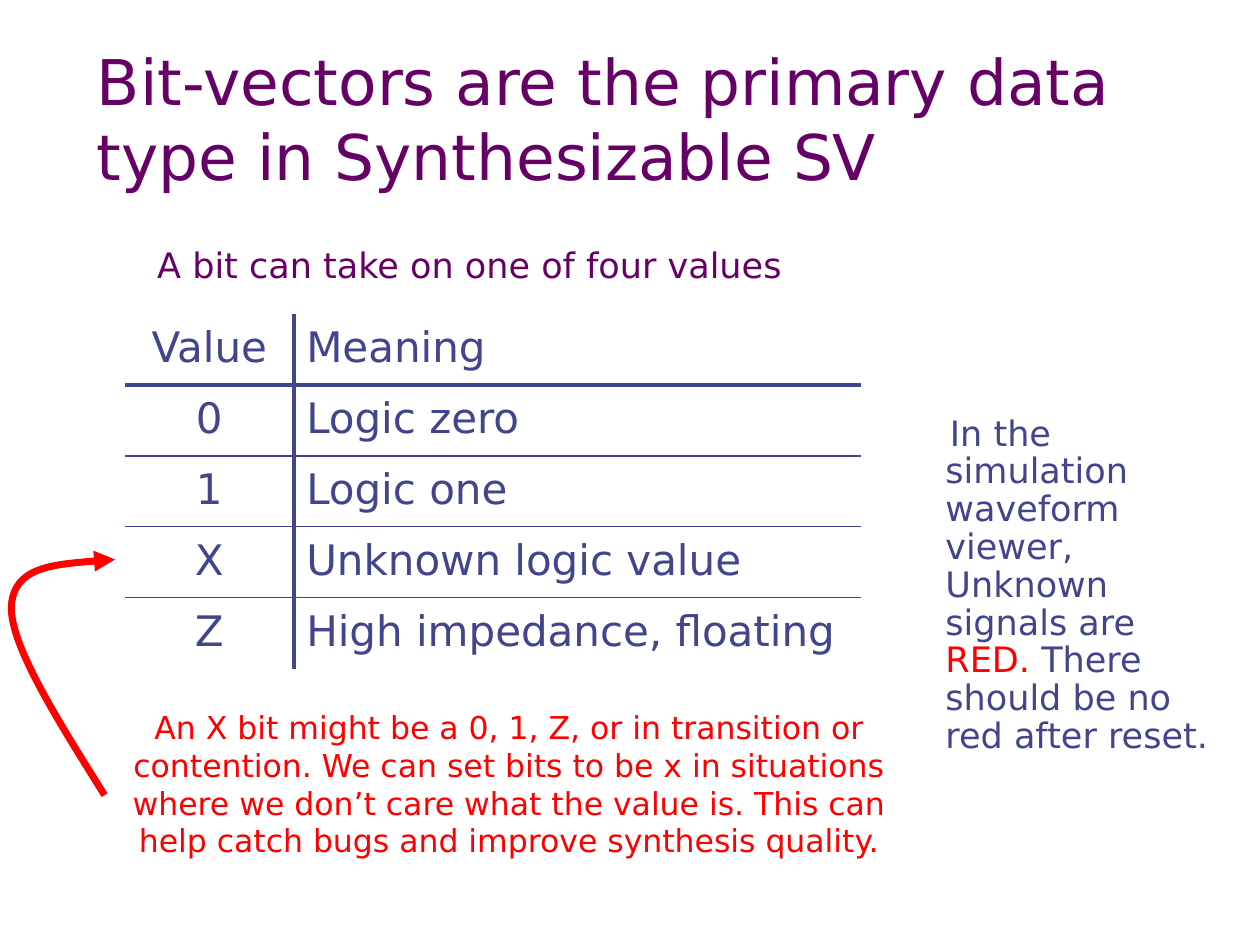
from lxml import etree
from pptx import Presentation
from pptx.dml.color import RGBColor
from pptx.enum.shapes import MSO_CONNECTOR
from pptx.enum.text import MSO_ANCHOR, MSO_AUTO_SIZE, PP_ALIGN
from pptx.oxml.ns import qn
from pptx.util import Cm, Pt

LEFT, CENTER = PP_ALIGN.LEFT, PP_ALIGN.CENTER
MIDDLE, BOTTOM = MSO_ANCHOR.MIDDLE, MSO_ANCHOR.BOTTOM
NO_AUTOFIT = MSO_AUTO_SIZE.NONE
STRAIGHT = MSO_CONNECTOR.STRAIGHT
TITLE_ONLY = 5

FONT = "DejaVu Sans"
COLORS = {"purple": "660066", "blue": "40458C", "red": "FF0000"}

BIT_VALUES = [
    ("Value", "Meaning"),
    ("0", "Logic zero"),
    ("1", "Logic one"),
    ("X", "Unknown logic value"),
    ("Z", "High impedance, floating"),
]
TABLE_LEFT, TABLE_TOP = 2.52, 6.33
COLUMN_WIDTHS = [3.4, 11.43]
ROW_HEIGHT = 1.43
HEAVY, THIN = 2.25, 0.75

# Start point, then two control points and an end point for each curve
ARROW_POINTS = [
    (2.11, 16.03),
    (1.17, 14.53), (0.2, 13.0), (0.23, 12.22),
    (0.28, 11.43), (1.3, 11.35), (2.32, 11.28),
]


class SlideBuilder:
    def __init__(self, slide):
        self.slide = slide

    def style(self, font, size, color):
        font.name = FONT
        font.size = Pt(size)
        font.color.rgb = RGBColor.from_string(COLORS[color])

    def title(self, text, left, top, width, height):
        shape = self.slide.shapes.title
        shape.left, shape.top = Cm(left), Cm(top)
        shape.width, shape.height = Cm(width), Cm(height)
        frame = shape.text_frame
        frame.text = text
        frame.auto_size = NO_AUTOFIT
        frame.vertical_anchor = BOTTOM
        paragraph = frame.paragraphs[0]
        paragraph.alignment = LEFT
        self.style(paragraph.font, 36, "purple")

    def text(self, runs, left, top, width, height, size, align=LEFT, spacing=1.0):
        """Add a text box from (text, color) runs and return its paragraph."""
        shape = self.slide.shapes.add_textbox(Cm(left), Cm(top), Cm(width), Cm(height))
        shape.text_frame.word_wrap = True
        paragraph = shape.text_frame.paragraphs[0]
        paragraph.alignment = align
        paragraph.line_spacing = spacing
        for text, color in runs:
            run = paragraph.add_run()
            run.text = text
            self.style(run.font, size, color)
        return paragraph

    def table(self, rows, left, top, column_widths, row_height):
        table = self.slide.shapes.add_table(
            len(rows), len(column_widths), Cm(left), Cm(top),
            Cm(sum(column_widths)), Cm(row_height * len(rows))).table
        table.first_row = table.horz_banding = False
        for column, width in zip(table.columns, column_widths):
            column.width = Cm(width)
        for r, row in enumerate(rows):
            table.rows[r].height = Cm(row_height)
            for c, text in enumerate(row):
                cell = table.cell(r, c)
                cell.text = text
                cell.vertical_anchor = MIDDLE
                cell.margin_bottom = Cm(0.2)
                cell.fill.background()
                paragraph = cell.text_frame.paragraphs[0]
                paragraph.alignment = LEFT if c else CENTER
                self.style(paragraph.font, 24, "blue")

    def line(self, start, end, color, weight):
        connector = self.slide.shapes.add_connector(
            STRAIGHT, *(Cm(length) for length in (*start, *end)))
        connector.line.color.rgb = RGBColor.from_string(COLORS[color])
        connector.line.width = Pt(weight)
        etree.SubElement(connector._element.spPr, qn("a:effectLst"))

    def curved_arrow(self, points, color, weight):
        start, *others = [(Cm(x), Cm(y)) for x, y in points]
        builder = self.slide.shapes.build_freeform(*start)
        builder.add_line_segments(others, close=False)
        shape = builder.convert_to_shape()
        shape.shadow.inherit = False
        shape.fill.background()
        shape.line.color.rgb = RGBColor.from_string(COLORS[color])
        shape.line.width = Pt(weight)
        etree.SubElement(shape.line._get_or_add_ln(), qn("a:tailEnd"), type="triangle")
        # Every three straight segments become one Bézier curve
        segments = list(shape._element.iter(qn("a:lnTo")))
        for first in range(0, len(segments), 3):
            curve = etree.Element(qn("a:cubicBezTo"))
            segments[first].addprevious(curve)
            for segment in segments[first:first + 3]:
                curve.append(segment[0])
                segment.getparent().remove(segment)


def add_value_table(builder):
    builder.table(BIT_VALUES, TABLE_LEFT, TABLE_TOP, COLUMN_WIDTHS, ROW_HEIGHT)
    right = TABLE_LEFT + sum(COLUMN_WIDTHS)
    bottom = TABLE_TOP + ROW_HEIGHT * len(BIT_VALUES)
    divider = TABLE_LEFT + COLUMN_WIDTHS[0]
    for row in range(1, len(BIT_VALUES)):
        y = TABLE_TOP + ROW_HEIGHT * row
        builder.line((TABLE_LEFT, y), (right, y), "blue", HEAVY if row == 1 else THIN)
    builder.line((divider, TABLE_TOP), (divider, bottom), "blue", HEAVY)


def main():
    presentation = Presentation()
    presentation.slide_width, presentation.slide_height = Cm(25.4), Cm(19.05)
    slide = presentation.slides.add_slide(presentation.slide_layouts[TITLE_ONLY])
    builder = SlideBuilder(slide)

    builder.title("Bit-vectors are the primary data type in Synthesizable SV",
                  1.7, 1.11, 21.59, 2.92)
    add_value_table(builder)
    builder.curved_arrow(ARROW_POINTS, "red", 4)
    builder.text([("An X bit might be a 0, 1, Z, or in transition or contention. "
                   "We can set bits to be x in situations where we don’t care what "
                   "the value is. This can help catch bugs and improve synthesis "
                   "quality.", "red")],
                 2.11, 14.15, 16.31, 3.3, 18, align=CENTER)
    builder.text([("A bit can take on one of four values", "purple")],
                 2.92, 4.88, 13.16, 1.02, 20, spacing=0.9)
    note = builder.text([("In the simulation waveform viewer, Unknown signals are ", "blue"),
                         ("RED. ", "red"),
                         ("There should be no red after reset.", "blue")],
                        18.21, 8.26, 6.78, 5.59, 20, spacing=0.9)
    indents = note._p.get_or_add_pPr()
    indents.set("marL", str(Cm(0.6)))
    indents.set("indent", str(Cm(0.09)))

    presentation.save("out.pptx")


if __name__ == "__main__":
    main()
